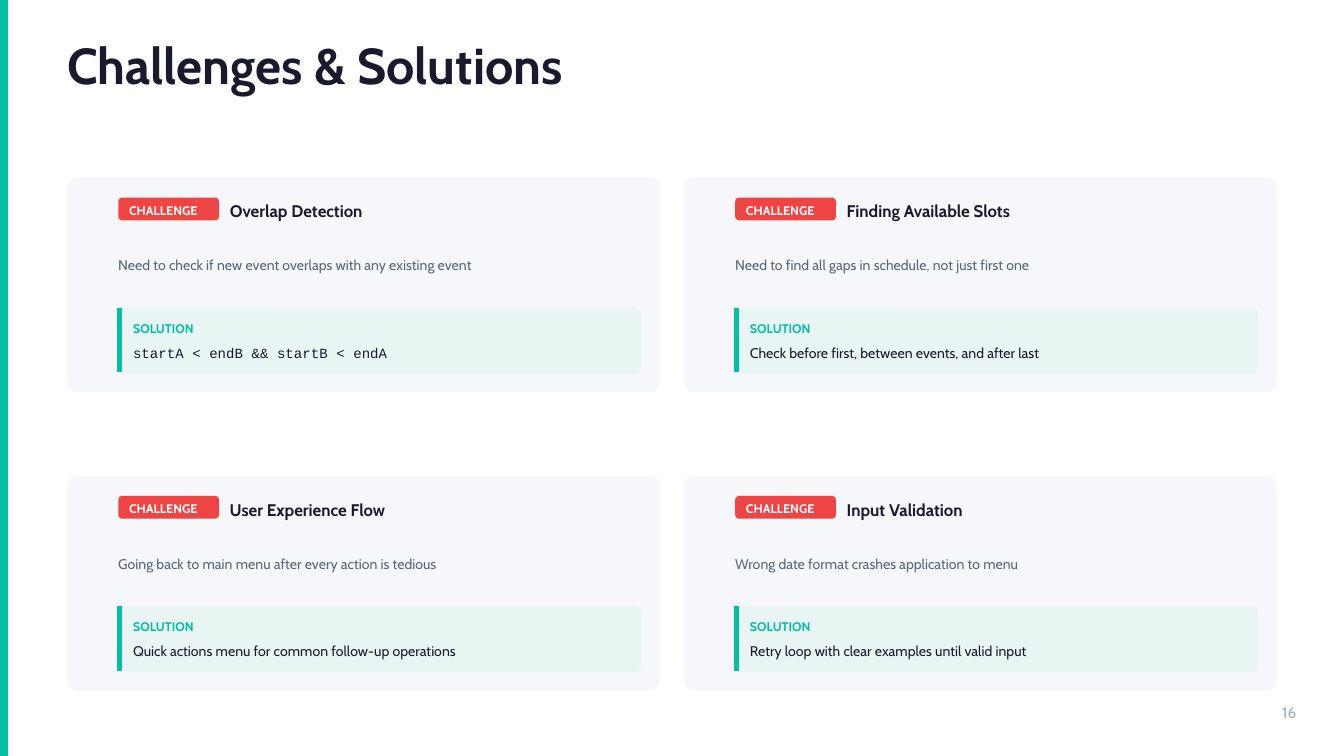
"""Build the Challenges & Solutions slide: a two-by-two grid of cards."""
from dataclasses import dataclass

from lxml import etree
from pptx import Presentation
from pptx import util as u
from pptx.dml.color import RGBColor
from pptx.enum import shapes, text
from pptx.oxml import ns
from pptx.shapes.autoshape import Shape
from pptx.slide import Slide


@dataclass(frozen=True)
class TextStyle:
    """Type size, line height, colour and font of a text."""
    size: float
    leading: float
    color: str
    bold: bool = False
    font: str = "Cabin"
    before: float = 0
    after: float = 0


@dataclass(frozen=True)
class Theme:
    """Colours and text styles of the slide."""
    accent: str = "00BFA5"
    card: str = "F5F7FA"
    alert: str = "EF4444"
    mint: str = "E8F5F3"
    title: TextStyle = TextStyle(27, 27, "1A1A2E", True)
    badge: TextStyle = TextStyle(6.75, 9.45, "FFFFFF", True)
    heading: TextStyle = TextStyle(9, 12.6, "1A1A2E", True)
    problem: TextStyle = TextStyle(7.5, 10.5, "5A6577", after=6)
    label: TextStyle = TextStyle(6.75, 9.45, "00BFA5", True)
    answer: TextStyle = TextStyle(7.5, 10.5, "1A1A2E", before=3)
    code: TextStyle = TextStyle(7.5, 10.5, "1A1A2E", font="Courier New", before=3)
    page: TextStyle = TextStyle(8.25, 11.55, "A0AEC0")


@dataclass(frozen=True)
class Box:
    """Left, top, width and height in inches."""
    left: float
    top: float
    width: float
    height: float

    def emu(self) -> tuple[int, int, int, int]:
        """Return the four lengths as EMU."""
        return (u.Inches(self.left), u.Inches(self.top),
                u.Inches(self.width), u.Inches(self.height))


@dataclass(frozen=True)
class Card:
    """One challenge with its solution."""
    heading: str
    heading_width: float
    problem: str
    answer: str
    answer_style: TextStyle


THEME = Theme()
CARDS = [
    Card("Overlap Detection", 1.09, "Need to check if new event overlaps with any existing event",
         "startA < endB && startB < endA", THEME.code),
    Card("Finding Available Slots", 1.39, "Need to find all gaps in schedule, not just first one",
         "Check before first, between events, and after last", THEME.answer),
    Card("User Experience Flow", 1.33, "Going back to main menu after every action is tedious",
         "Quick actions menu for common follow-up operations", THEME.answer),
    Card("Input Validation", 0.95, "Wrong date format crashes application to menu",
         "Retry loop with clear examples until valid input", THEME.answer),
]
SLIDE_WIDTH = 10
SLIDE_HEIGHT = SLIDE_WIDTH * 9 / 16
GRID_LEFT, GRID_TOP = 0.5, 1.32
COLUMN_STEP, ROW_STEP = 4.59, 2.22


def write(holder: Shape, words: str, style: TextStyle, wrap: bool = False) -> None:
    """Fill a text holder with one styled run."""
    frame = holder.text_frame
    frame.margin_left = frame.margin_top = frame.margin_right = frame.margin_bottom = 0
    frame.word_wrap = wrap
    frame.auto_size = text.MSO_AUTO_SIZE.NONE
    frame.vertical_anchor = text.MSO_ANCHOR.TOP
    paragraph = frame.paragraphs[0]
    paragraph.alignment = text.PP_ALIGN.LEFT
    paragraph.line_spacing = u.Pt(style.leading)
    paragraph.space_before, paragraph.space_after = u.Pt(style.before), u.Pt(style.after)
    run = paragraph.add_run()
    run.text = words
    run.font.name, run.font.size, run.font.bold = style.font, u.Pt(style.size), style.bold
    run.font.color.rgb = RGBColor.from_string(style.color)


def add_text(slide: Slide, box: Box, words: str, style: TextStyle) -> None:
    """Add a text box."""
    write(slide.shapes.add_textbox(*box.emu()), words, style)


def add_panel(slide: Slide, box: Box, color: str, radius: float = 0) -> None:
    """Add a plain filled rectangle, rounded when a radius in inches is given."""
    kind = shapes.MSO_SHAPE.ROUNDED_RECTANGLE if radius else shapes.MSO_SHAPE.RECTANGLE
    panel = slide.shapes.add_shape(kind, *box.emu())
    if radius:
        panel.adjustments[0] = radius / min(box.width, box.height)
    panel.shadow.inherit = False
    panel.fill.solid()
    panel.fill.fore_color.rgb = RGBColor.from_string(color)
    panel.line.fill.background()


def add_rule(slide: Slide, x: float, top: float, bottom: float) -> None:
    """Add a vertical accent line."""
    rule = slide.shapes.add_connector(
        shapes.MSO_CONNECTOR.STRAIGHT,
        u.Inches(x), u.Inches(top), u.Inches(x), u.Inches(bottom))
    rule.line.color.rgb = RGBColor.from_string(THEME.accent)
    rule.line.width = u.Pt(2.25)
    etree.SubElement(rule._element.spPr, ns.qn("a:effectLst"))


def add_card(slide: Slide, card: Card, left: float, top: float) -> None:
    """Draw one card with its badge, heading, problem and solution."""
    inner = left + 0.38
    add_panel(slide, Box(left, top, 4.41, 1.6), THEME.card, 0.08)
    add_panel(slide, Box(inner, top + 0.15, 0.75, 0.17), THEME.alert, 0.03)
    add_text(slide, Box(inner + 0.08, top + 0.17, 0.59, 0.13), "CHALLENGE", THEME.badge)
    add_text(slide, Box(inner + 0.83, top + 0.15, card.heading_width, 0.17),
             card.heading, THEME.heading)
    add_text(slide, Box(inner, top + 0.57, 3.96, 0.15), card.problem, THEME.problem)
    add_panel(slide, Box(inner, top + 0.97, 3.89, 0.49), THEME.mint, 0.04)
    add_rule(slide, inner + 0.01, top + 0.97, top + 1.45)
    add_text(slide, Box(inner + 0.11, top + 1.05, 3.76, 0.13), "SOLUTION", THEME.label)
    add_text(slide, Box(inner + 0.11, top + 1.22, 3.76, 0.15), card.answer, card.answer_style)


def main() -> None:
    """Build and save the slide."""
    deck = Presentation()
    deck.slide_width, deck.slide_height = u.Inches(SLIDE_WIDTH), u.Inches(SLIDE_HEIGHT)
    slide = deck.slides.add_slide(deck.slide_layouts[5])
    add_panel(slide, Box(0, 0, 0.06, SLIDE_HEIGHT), THEME.accent)
    title = slide.shapes.title
    title.left, title.top, title.width, title.height = Box(0.5, 0.33, 4.6, 0.38).emu()
    write(title, "Challenges & Solutions", THEME.title, wrap=True)
    for index, card in enumerate(CARDS):
        row, column = divmod(index, 2)
        add_card(slide, card, GRID_LEFT + column * COLUMN_STEP, GRID_TOP + row * ROW_STEP)
    add_text(slide, Box(9.54, 5.21, 0.13, 0.16), "16", THEME.page)
    deck.save("out.pptx")


if __name__ == "__main__":
    main()
